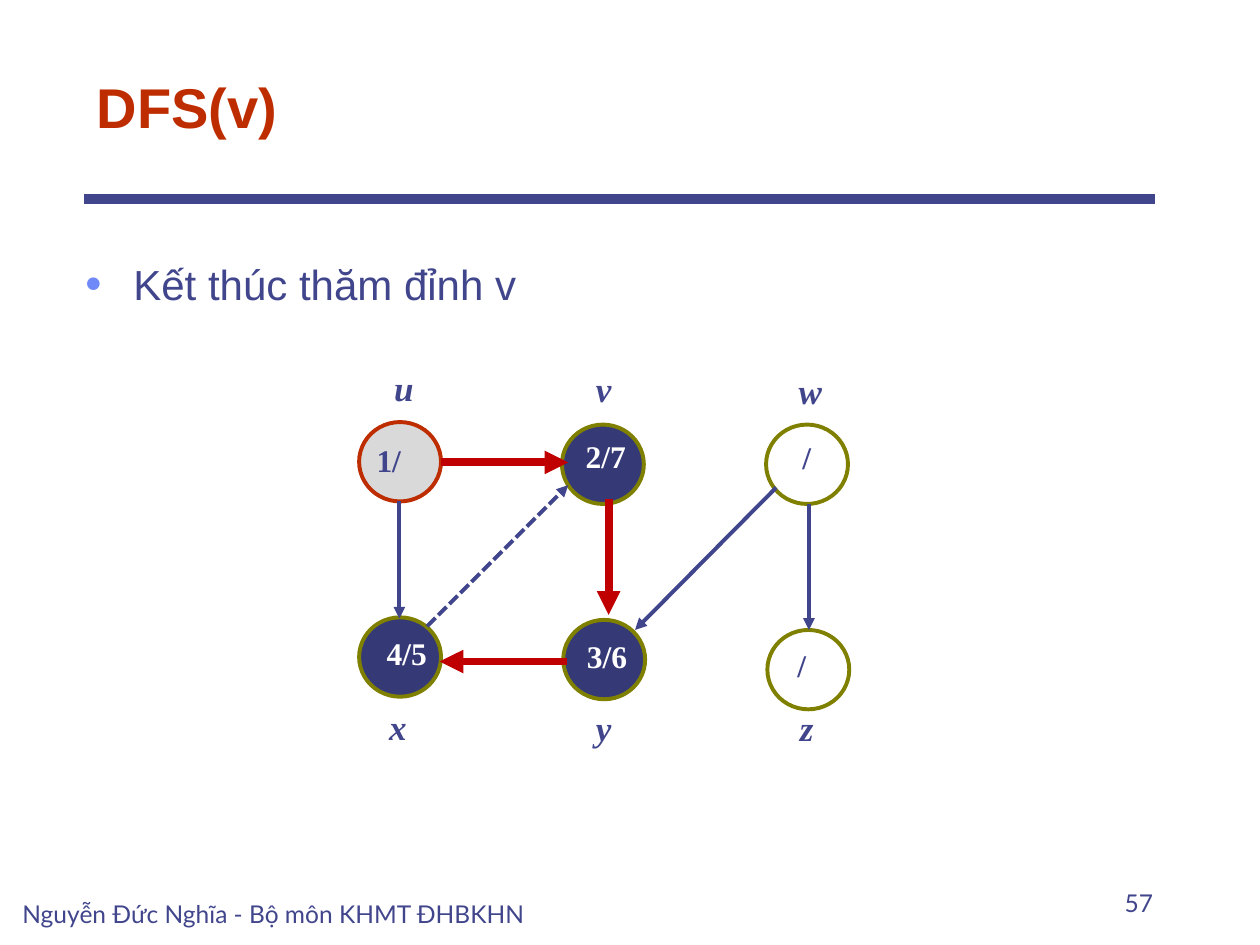
"""Build the DFS(v) slide: a traversal graph with visit and finish times."""
from lxml import etree
from pptx import Presentation
from pptx.dml.color import RGBColor
from pptx.enum.dml import MSO_LINE
from pptx.enum.shapes import MSO_CONNECTOR, MSO_SHAPE
from pptx.enum.text import MSO_ANCHOR, PP_ALIGN
from pptx.oxml.ns import qn
from pptx.util import Inches, Pt

INK, NAVY, RED, RUST, OLIVE = "40458C", "353A77", "C00000", "BE2D00", "808000"
GREY, WHITE, BLUE = "D9D9D9", "FFFFFF", "6F89F7"


def rgb(value):
    return RGBColor.from_string(value)


def add_text(text, box, fmt, color, anchor=MSO_ANCHOR.TOP, align=PP_ALIGN.LEFT, wrap=True, bullet=None):
    tf = s.shapes.add_textbox(*[Inches(v) for v in box]).text_frame
    tf.word_wrap = wrap
    tf.vertical_anchor = anchor
    p = tf.paragraphs[0]
    p.alignment = align
    if bullet:
        pPr = p._p.get_or_add_pPr()
        pPr.set("marL", str(Inches(0.38)))
        pPr.set("indent", str(Inches(-0.38)))
        clr = etree.SubElement(pPr, qn("a:buClr"))
        etree.SubElement(clr, qn("a:srgbClr")).set("val", bullet)
        etree.SubElement(pPr, qn("a:buSzPct")).set("val", "110000")
        etree.SubElement(pPr, qn("a:buFont")).set("typeface", "Arial")
        etree.SubElement(pPr, qn("a:buChar")).set("char", "•")
    r = p.add_run()
    r.text = text
    for key, value in fmt.items():
        setattr(r.font, key, value)
    r.font.color.rgb = rgb(color)


prs = Presentation()
prs.slide_width, prs.slide_height = Inches(10), Inches(7.5)
s = prs.slides.add_slide(prs.slide_layouts[6])

title = {"name": "Arial", "size": Pt(32), "bold": True}
body = {"name": "Arial", "size": Pt(24)}
footer = {"name": "Lato", "size": Pt(14)}
label = {"name": "Times New Roman", "size": Pt(20), "bold": True, "italic": True}
times = {"name": "Times New Roman", "size": Pt(18), "bold": True}

add_text("DFS(v)", (0.67, 0.33, 8.5, 0.83), title, RUST, MSO_ANCHOR.BOTTOM)
add_text("Kết thúc thăm đỉnh v", (0.58, 2, 8.75, 4.83), body, INK, bullet=BLUE)
add_text("Nguyễn Đức Nghĩa - Bộ môn KHMT ĐHBKHN", (0.08, 6.92, 4.67, 0.5), footer, INK, MSO_ANCHOR.BOTTOM)
add_text("57", (7.17, 6.83, 2.08, 0.5), footer, INK, MSO_ANCHOR.BOTTOM, PP_ALIGN.RIGHT)

nodes = [
    ("u", (2.85, 3.35), GREY, RUST, (3.03, 2.86), "1/", (2.89, 3.45), INK),
    ("v", (4.46, 3.37), NAVY, OLIVE, (4.63, 2.87), "2/7", (4.55, 3.42), WHITE),
    ("w", (6.08, 3.37), None, OLIVE, (6.24, 2.88), "/", (6.27, 3.43), INK),
    ("x", (2.85, 4.9), NAVY, OLIVE, (2.99, 5.55), "4/5", (2.97, 4.98), WHITE),
    ("y", (4.47, 4.92), NAVY, OLIVE, (4.63, 5.56), "3/6", (4.56, 5.01), WHITE),
    ("z", (6.09, 5), None, OLIVE, (6.25, 5.56), "/", (6.23, 5.08), INK),
]
for name, (x, y), fill, line, name_at, mark, mark_at, color in nodes:
    sp = s.shapes.add_shape(MSO_SHAPE.OVAL, Inches(x), Inches(y), Inches(0.65), Inches(0.63))
    sp.shadow.inherit = False
    if fill:
        sp.fill.solid()
        sp.fill.fore_color.rgb = rgb(fill)
    else:
        sp.fill.background()
    sp.line.color.rgb = rgb(line)
    sp.line.width = Pt(2.25)
    add_text(name, (*name_at, 0.35, 0.44), label, INK, wrap=False)
    add_text(mark, (*mark_at, 0.53, 0.4), times, color, wrap=False)

lines = [
    ((0.67, 1.58), (9.17, 1.58), INK, 6, False, False),
    ((3.17, 3.98), (3.17, 4.91), INK, 2.25, True, False),
    ((6.16, 3.87), (5.04, 5), INK, 2.25, True, False),
    ((6.42, 4), (6.42, 5), INK, 2.25, True, False),
    ((3.39, 4.97), (4.51, 3.85), INK, 2.25, True, True),
    ((4.5, 5.25), (3.49, 5.25), RED, 4.5, True, False),
    ((4.83, 3.96), (4.83, 4.88), RED, 4.5, True, False),
    ((3.5, 3.67), (4.51, 3.67), RED, 4.5, True, False),
]
for start, end, color, width, arrow, dashed in lines:
    cx = s.shapes.add_connector(MSO_CONNECTOR.STRAIGHT, *[Inches(v) for v in start + end])
    cx.line.color.rgb = rgb(color)
    cx.line.width = Pt(width)
    if dashed:
        cx.line.dash_style = MSO_LINE.SQUARE_DOT
    if arrow:
        etree.SubElement(cx.line._get_or_add_ln(), qn("a:tailEnd")).set("type", "triangle")
    etree.SubElement(cx._element.spPr, qn("a:effectLst"))

prs.save("out.pptx")
